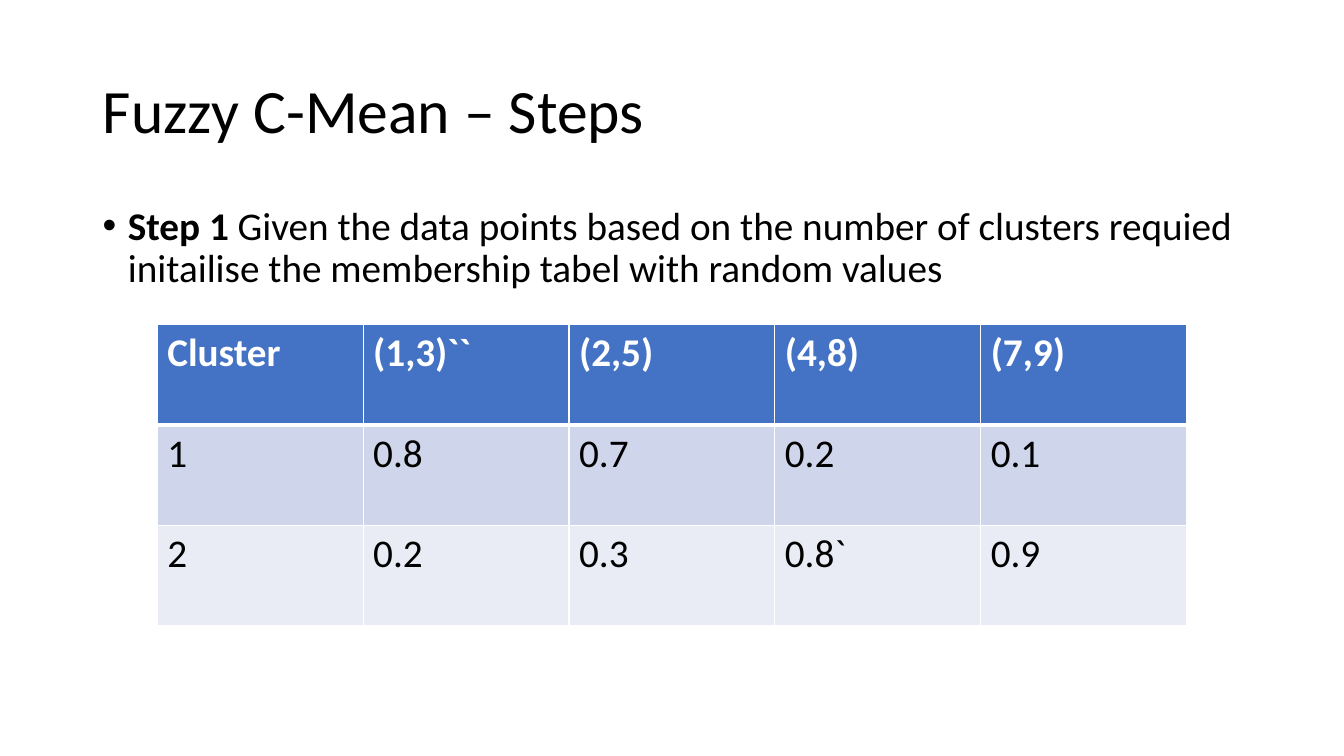
from lxml import etree
from pptx import Presentation
from pptx.dml.color import RGBColor
from pptx.enum.text import MSO_ANCHOR, MSO_AUTO_SIZE, PP_ALIGN
from pptx.oxml.ns import qn
from pptx.util import Inches, Pt

LEFT = PP_ALIGN.LEFT
MIDDLE = MSO_ANCHOR.MIDDLE
TOP = MSO_ANCHOR.TOP
NO_FIT = MSO_AUTO_SIZE.NONE

TITLE_ONLY = 5
FONT = "Calibri"
COLORS = {
    "text": "000000",
    "white": "FFFFFF",
    "header": "4472C4",
    "bands": ["CFD5EA", "E9EBF5"],
}
MEMBERSHIP = [
    ["Cluster", "(1,3)``", "(2,5)", "(4,8)", "(7,9)"],
    ["1", "0.8", "0.7", "0.2", "0.1"],
    ["2", "0.2", "0.3", "0.8`", "0.9"],
]


def add_text(para, text, size=28, color=COLORS["text"], bold=False):
    span = para.add_run()
    span.text = text
    span.font.name = FONT
    span.font.size = Pt(size)
    span.font.bold = bold
    span.font.color.rgb = RGBColor.from_string(color)


def add_bullet(para, indent):
    properties = para._p.get_or_add_pPr()
    properties.set("marL", str(indent))
    properties.set("indent", str(-indent))
    etree.SubElement(properties, qn("a:buFont"), typeface="Arial")
    etree.SubElement(properties, qn("a:buChar"), char="•")


def prepare_frame(frame, anchor):
    frame.word_wrap = True
    frame.auto_size = NO_FIT
    frame.vertical_anchor = anchor
    para = frame.paragraphs[0]
    para.alignment = LEFT
    para.line_spacing = 0.9
    return para


def set_border(cell, side, width):
    line = etree.SubElement(cell._tc.get_or_add_tcPr(), qn(f"a:{side}"), w=str(Pt(width)))
    fill = etree.SubElement(line, qn("a:solidFill"))
    etree.SubElement(fill, qn("a:srgbClr"), val=COLORS["white"])


def fill_title(slide, left, top, width, height):
    title = slide.shapes.title
    title.left, title.top, title.width, title.height = left, top, width, height
    para = prepare_frame(title.text_frame, MIDDLE)
    add_text(para, "Fuzzy C-Mean – Steps", size=44)


def add_step(slide, left, top, width, height):
    box = slide.shapes.add_textbox(left, top, width, height)
    para = prepare_frame(box.text_frame, TOP)
    add_bullet(para, Inches(0.25))
    add_text(para, "Step 1 ", bold=True)
    add_text(para, "Given the data points based on the number of clusters requied "
                   "initailise the membership tabel with random values")


def add_membership_table(slide, left, top, width, height):
    table = slide.shapes.add_table(
        len(MEMBERSHIP), len(MEMBERSHIP[0]), left, top, width, height).table
    for row, values in enumerate(MEMBERSHIP):
        is_header = row == 0
        fill = COLORS["header"] if is_header else COLORS["bands"][(row - 1) % 2]
        for column, value in enumerate(values):
            cell = table.cell(row, column)
            # The rule between header and body is thicker than the grid
            set_border(cell, "lnL", 1)
            set_border(cell, "lnR", 1)
            set_border(cell, "lnT", 3 if row == 1 else 1)
            set_border(cell, "lnB", 3 if is_header else 1)
            cell.fill.solid()
            cell.fill.fore_color.rgb = RGBColor.from_string(fill)
            add_text(cell.text_frame.paragraphs[0], value, bold=is_header,
                     color=COLORS["white" if is_header else "text"])


def main():
    deck = Presentation()
    deck.slide_width, deck.slide_height = Inches(13.33), Inches(7.5)
    slide = deck.slides.add_slide(deck.slide_layouts[TITLE_ONLY])
    fill_title(slide, Inches(0.92), Inches(0.4), Inches(11.5), Inches(1.45))
    add_step(slide, Inches(0.92), Inches(2), Inches(11.5), Inches(4.76))
    add_membership_table(slide, Inches(1.56), Inches(3.22), Inches(10.21), Inches(2.99))
    deck.save("out.pptx")


if __name__ == "__main__":
    main()
